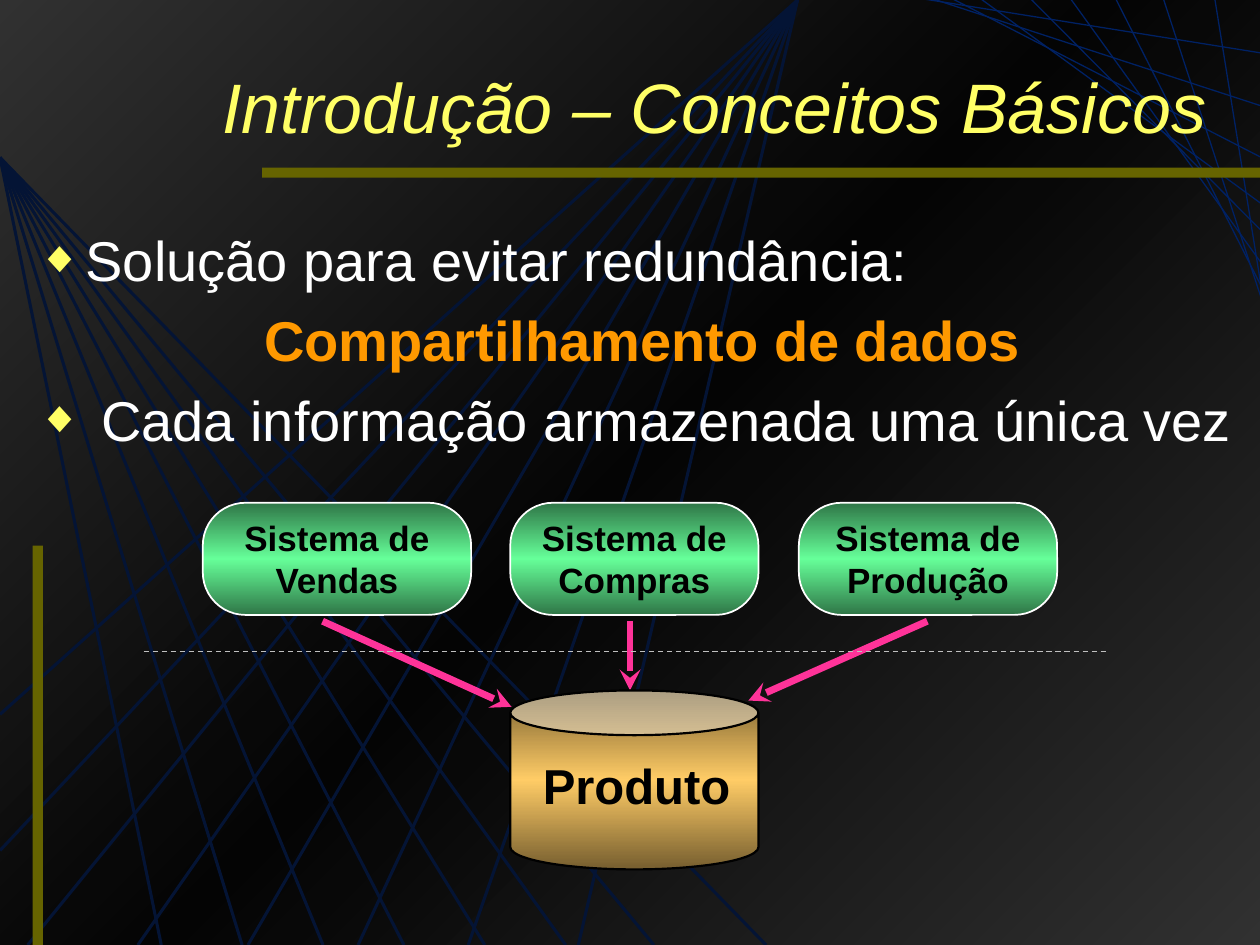
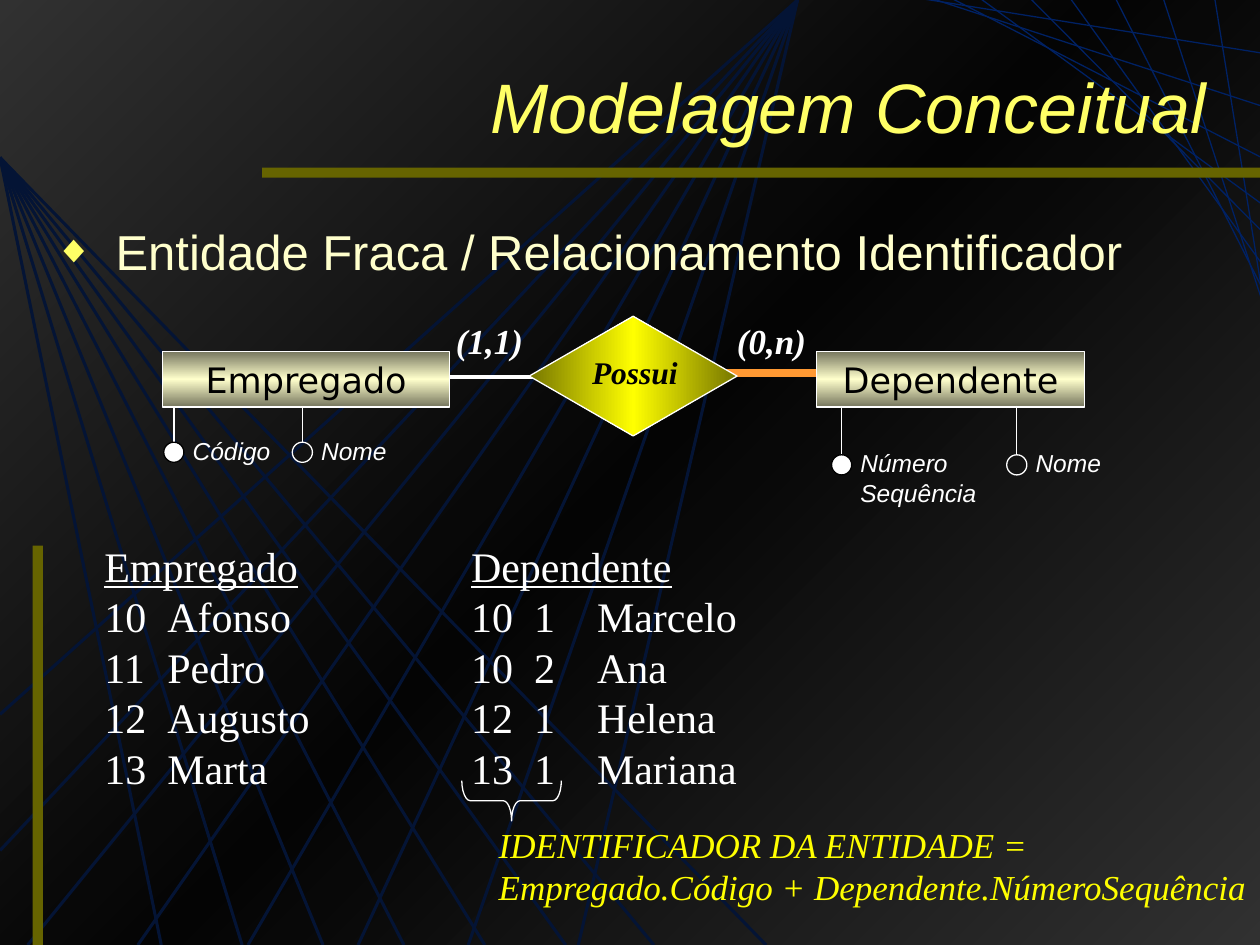
from copy import deepcopy

from lxml import etree
from pptx import Presentation
from pptx.dml.color import RGBColor
from pptx.enum.dml import MSO_LINE
from pptx.enum.shapes import MSO_CONNECTOR, MSO_SHAPE
from pptx.enum.text import MSO_ANCHOR, MSO_AUTO_SIZE, PP_ALIGN
from pptx.oxml.ns import qn
from pptx.util import Inches, Pt

LEFT, MID, RIGHT = PP_ALIGN.LEFT, PP_ALIGN.CENTER, PP_ALIGN.RIGHT
TOP, CENTER = MSO_ANCHOR.TOP, MSO_ANCHOR.MIDDLE
NONE = MSO_AUTO_SIZE.NONE
DASH = MSO_LINE.DASH
RECT, ROUND, CAN = MSO_SHAPE.RECTANGLE, MSO_SHAPE.ROUNDED_RECTANGLE, MSO_SHAPE.CAN
OVAL, BRACE = MSO_SHAPE.OVAL, MSO_SHAPE.RIGHT_BRACE
RHOMB = MSO_SHAPE.FLOWCHART_DECISION
LINE = MSO_CONNECTOR.STRAIGHT

SANS, SERIF, WIDE = "Arial", "Times New Roman", "DejaVu Sans"
WHITE, BLACK, YELLOW = "FFFFFF", "000000", "FFFF66"
OLIVE, NAVY, ORANGE, PINK = "666400", "002164", "FF9900", "FF3399"
GREEN = ("2F7647", "66FF99", 90)
GOLD = ("765E2F", "FFCC66", 90)
CREAM = ("76765E", "FFFFCC", 90)
LEMON = ("767600", "FFFF00", 0)


def rgb(code):
    return RGBColor.from_string(code)


def add(node, tag, **attrs):
    child = etree.SubElement(node, qn(tag))
    for key, val in attrs.items():
        child.set(key, str(val))
    return child


def blend(fill, root, edge, core, angle):
    fill.gradient()
    fill.gradient_angle = (360 - angle) % 360
    for stop, code, spot in zip(fill.gradient_stops, (edge, core), (0, 0.5)):
        stop.color.rgb = rgb(code)
        stop.position = spot
    stops = root.find(".//" + qn("a:gsLst"))
    last = deepcopy(stops[0])
    last.set("pos", "100000")
    stops.append(last)


def write(frame, lines, size=20, font=SANS, color=WHITE, bold=False, italic=False,
          under=False, align=LEFT, anchor=TOP, wrap=False, gap=0, hang=0,
          mark=None, start=None, tabs=()):
    frame.word_wrap = wrap
    frame.auto_size = NONE
    frame.vertical_anchor = anchor
    for i, line in enumerate(lines):
        text, own = line if isinstance(line, tuple) else (line, {})
        para = frame.paragraphs[0] if i == 0 else frame.add_paragraph()
        props = para._p.get_or_add_pPr()
        props.set("marL", str(Inches(hang)))
        props.set("indent", str(-Inches(hang)))
        sign, first = own.get("mark", mark), own.get("start", start)
        if sign:
            add(add(props, "a:buClr"), "a:srgbClr", val=YELLOW)
            add(props, "a:buSzPct", val=80000)
            add(props, "a:buChar", char=sign)
        elif first:
            add(props, "a:buAutoNum", type="arabicPlain", startAt=first)
        else:
            add(props, "a:buNone")
        if tabs:
            stops = add(props, "a:tabLst")
            for stop in tabs:
                add(stops, "a:tab", pos=Inches(stop), algn="l")
        para.alignment = own.get("align", align)
        para.space_before = Pt(gap if i else 0)
        run = para.add_run()
        run.text = text
        face = run.font
        face.name, face.size = font, Pt(size)
        face.bold, face.italic = own.get("bold", bold), italic
        face.underline = own.get("under", under)
        face.color.rgb = rgb(own.get("color", color))


class Deck:
    def __init__(self):
        self.show = Presentation()
        self.show.slide_width, self.show.slide_height = Inches(10), Inches(7.5)
        self.base = self.show.slide_layouts[1]
        self.page = None

    def start(self):
        self.page = self.show.slides.add_slide(self.base)

    def place(self, item, box):
        item.left, item.top, item.width, item.height = map(Inches, box)

    def title(self, text):
        item = self.page.shapes.title
        self.place(item, (1.5, 0.42, 8.17, 0.83))
        write(item.text_frame, [text], size=40, color=YELLOW, italic=True,
              align=RIGHT, anchor=CENTER, wrap=True)

    def body(self, box, lines, **form):
        item = self.page.placeholders[1]
        self.place(item, box)
        write(item.text_frame, lines, wrap=True, hang=0.38, **form)

    def text(self, box, lines, **form):
        item = self.page.shapes.add_textbox(*map(Inches, box))
        write(item.text_frame, lines, **form)

    def shape(self, kind, box, fill=None, line=None, width=0.75, turn=0, adj=None):
        item = self.page.shapes.add_shape(kind, *map(Inches, box))
        item.shadow.inherit = False
        item.rotation = turn
        if adj is not None:
            item.adjustments[0] = adj
        if isinstance(fill, tuple):
            blend(item.fill, item.element, *fill)
        elif fill:
            item.fill.solid()
            item.fill.fore_color.rgb = rgb(fill)
        else:
            item.fill.background()
        if line:
            item.line.color.rgb = rgb(line)
            item.line.width = Pt(width)
        else:
            item.line.fill.background()
        return item

    def line(self, x1, y1, x2, y2, color=WHITE, width=0.75, dash=None, arrow=False):
        item = self.page.shapes.add_connector(LINE, *map(Inches, (x1, y1, x2, y2)))
        item.line.color.rgb = rgb(color)
        item.line.width = Pt(width)
        if dash:
            item.line.dash_style = dash
        props = item.element.spPr
        if arrow:
            add(props.find(qn("a:ln")), "a:tailEnd", type="stealth")
        add(props, "a:effectLst")

    def share(self):
        blend(self.base.background.fill, self.base.element, "5C5C5C", BLACK, 45)
        held = list(self.page.shapes)
        ends = [(0, 5.67), (0, 6.75)] + [(0.22 + 0.874 * i, 7.5) for i in range(6)]
        for x, y in ends:
            self.line(6.33, 0, x, y, NAVY, 1.75)
        for x in [1.28 + 0.642 * i for i in range(6)] + [5.19, 6.08]:
            self.line(0, 1.25, x, 7.5, NAVY, 1.75)
        veil = self.shape(RECT, (0, 0, 10, 7.5), "080808")
        add(veil.element.spPr.find(".//" + qn("a:srgbClr")), "a:alpha", val=50000)
        rays = ((7.26, 0.43), (7.37, 0.86), (7.54, 1.28), (7.77, 1.66), (8.17, 1.89),
                (8.49, 2.17), (8.85, 2.39), (9.23, 2.55), (9.64, 2.65))
        for x, y in rays:
            self.line(10.07, y, x, -0.02, NAVY)
        self.shape(RECT, (2.08, 1.33, 7.92, 0.08), OLIVE)
        self.shape(RECT, (0.26, 4.33, 0.08, 3.17), OLIVE)
        tree = self.base.shapes.element
        for i, item in enumerate(list(self.page.shapes)[len(held):]):
            tree.insert(2 + i, item.element)

    def trait(self, x, y, lines, width, key=False, drop=0):
        self.line(x, y - 0.39 - drop, x, y - drop)
        self.shape(OVAL, (x - 0.08, y, 0.16, 0.16), WHITE if key else None,
                   BLACK if key else WHITE)
        self.text((x + 0.05, y - 0.1, width, 0.33), lines, size=14, italic=True, wrap=True)

    def entity(self, box, name):
        item = self.shape(RECT, box, CREAM, WHITE)
        write(item.text_frame, [name], font=WIDE, color=BLACK, align=MID,
              anchor=CENTER, wrap=True)


def sharing(deck):
    deck.title("Introdução – Conceitos Básicos")
    deck.body((0.2, 1.74, 9.8, 5.5), [
        "Solução para evitar redundância:",
        ("Compartilhamento de dados",
         {"mark": "", "align": MID, "color": ORANGE, "bold": True}),
        " Cada informação armazenada uma única vez",
    ], size=32, mark="◆", gap=7.4)
    deck.line(2.56, 4.93, 4.06, 5.61, PINK, 4, arrow=True)
    systems = ((1.61, 2.13, "Vendas"), (4.05, 1.97, "Compras"), (6.34, 2.05, "Produção"))
    for x, width, name in systems:
        item = deck.shape(ROUND, (x, 3.99, width, 0.89), GREEN, WHITE, 1, adj=0.38)
        write(item.text_frame, ["Sistema de", name], color=BLACK, bold=True,
              align=MID, anchor=CENTER)
    deck.line(5, 4.93, 5, 5.48, PINK, 4, arrow=True)
    deck.line(7.36, 4.93, 5.94, 5.56, PINK, 4, arrow=True)
    deck.shape(CAN, (4.05, 5.48, 1.97, 1.42), GOLD, BLACK, 1.25, adj=0.25)
    deck.text((4.21, 5.95, 1.69, 0.57), ["Produto"], size=28, color=BLACK, bold=True)
    deck.line(1.14, 5.17, 8.78, 5.17, "C0C0C0", dash=DASH)


def model(deck):
    deck.title("Modelagem Conceitual")
    deck.body((0.33, 1.71, 8.92, 5.2), [" Entidade Fraca / Relacionamento Identificador"],
              size=28, color="FFFFCC", mark="◆")
    deck.line(7.45, 2.96, 5.16, 2.96, "FF9933", 4.5)
    deck.line(5.71, 2.99, 3.41, 2.99, width=2.25)
    deck.trait(1.38, 3.51, ["Código"], 0.89, key=True)
    deck.trait(2.4, 3.51, ["Nome"], 0.89)
    deck.entity((6.48, 2.79, 2.13, 0.44), "Dependente")
    deck.entity((1.29, 2.79, 2.28, 0.44), "Empregado")
    deck.trait(6.68, 3.61, ["Número", "Sequência"], 1.34, key=True)
    deck.trait(8.07, 3.61, ["Nome"], 0.89)
    deck.shape(RHOMB, (4.2, 2.51, 1.65, 0.95), LEMON, WHITE)
    deck.text((4.6, 2.75, 0.88, 0.4), ["Possui"], size=18, font=SERIF, color=BLACK,
              bold=True, italic=True)
    for x, count in ((3.52, "(1,1)"), (5.75, "(0,n)")):
        deck.text((x, 2.49, 0.75, 0.43), [count], font=SERIF, bold=True, italic=True)
    deck.text((3.86, 6.49, 6.14, 0.77),
              ["IDENTIFICADOR DA ENTIDADE =",
               "Empregado.Código + Dependente.NúmeroSequência"],
              font=SERIF, color="FFFF00", italic=True)
    head = {"under": True, "start": None}
    deck.text((0.73, 4.24, 1.83, 2.1),
              [("Empregado", head), "Afonso", "Pedro", "Augusto", "Marta"],
              size=24, font=SERIF, hang=0.5, start=10, wrap=True)
    deck.text((3.64, 4.24, 2.4, 2.1),
              [("Dependente", head), "10\t1\tMarcelo", "10\t2\tAna",
               "12\t1\tHelena", "13\t1\tMariana"],
              size=24, font=SERIF, tabs=(0.5, 0.83), wrap=True)
    deck.shape(BRACE, (3.9, 5.96, 0.32, 0.79), line=WHITE, turn=90, adj=0.21)


def main():
    deck = Deck()
    deck.start()
    deck.share()
    sharing(deck)
    deck.start()
    model(deck)
    deck.show.save("out.pptx")


if __name__ == "__main__":
    main()
